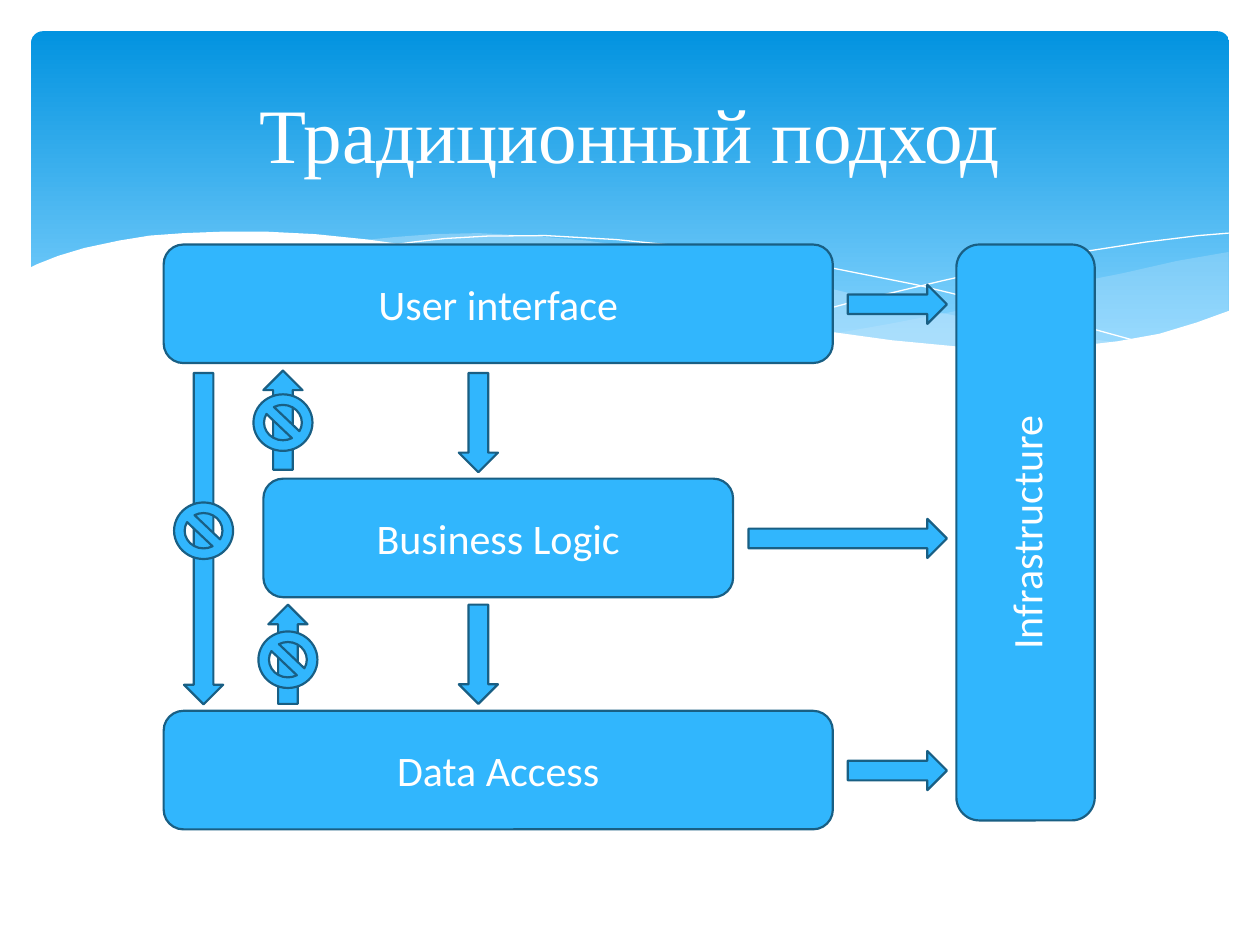
"""Build the slide on the traditional layered architecture."""
from lxml import etree
from pptx import Presentation
from pptx.dml.color import RGBColor
from pptx.enum.shapes import MSO_SHAPE
from pptx.enum.text import MSO_ANCHOR, PP_ALIGN
from pptx.oxml.ns import qn
from pptx.util import Cm, Pt

ROUND = MSO_SHAPE.ROUNDED_RECTANGLE
DOWN, UP, RIGHT = MSO_SHAPE.DOWN_ARROW, MSO_SHAPE.UP_ARROW, MSO_SHAPE.RIGHT_ARROW
FORBIDDEN = MSO_SHAPE.NO_SYMBOL
MIDDLE, CENTER = MSO_ANCHOR.MIDDLE, PP_ALIGN.CENTER
WHITE, BLUE, NAVY, PALE = "FFFFFF", "31B6FD", "195F84", "C6E7FC"
rgb = RGBColor.from_string


def add_block(kind, x, y, w, h):
    sp = s.shapes.add_shape(kind, Cm(x), Cm(y), Cm(w), Cm(h))
    sp.shadow.inherit = False
    sp.fill.solid()
    sp.fill.fore_color.rgb = rgb(BLUE)
    sp.line.color.rgb = rgb(NAVY)
    sp.line.width = Pt(1.25)
    return sp


def write(sp, text, font, size):
    tf = sp.text_frame
    tf.word_wrap = True
    tf.vertical_anchor = MIDDLE
    p = tf.paragraphs[0]
    p.text = text
    p.alignment = CENTER
    r = p.runs[0]
    r.font.name = font
    r.font.size = Pt(size)
    r.font.color.rgb = rgb(WHITE)


prs = Presentation()
prs.slide_width, prs.slide_height = Cm(25.4), Cm(19.05)
s = prs.slides.add_slide(prs.slide_layouts[6])

banner = add_block(ROUND, 0.63, 0.63, 24.15, 6.86)
banner.adjustments[0] = 0.034
banner.line.fill.background()
banner.fill.gradient()
banner.fill.gradient_angle = 270
for stop, color, position in zip(banner.fill.gradient_stops, ("0293E0", "83D3FE"), (0, 0.9)):
    stop.color.rgb = rgb(color)
    stop.position = position

right_wave = [
    (24.77, 5.08), (23.73, 5.26), (22.63, 5.51), (21.87, 5.66), (20.45, 6.02), (19.13, 6.3),
    (17.93, 6.53), (16.79, 6.73), (17.91, 6.88), (18.92, 6.99), (19.84, 7.04), (20.68, 7.06),
    (21.44, 7.02), (22.15, 6.96), (22.78, 6.86), (23.39, 6.73), (24.1, 6.53), (24.77, 6.27)]
middle_wave = [
    (22.68, 6.93), (21.26, 6.73), (19.69, 6.45), (17.93, 6.1), (15.98, 5.64), (14.83, 5.36),
    (13.74, 5.16), (12.75, 4.98), (11.81, 4.85), (10.67, 4.75), (9.65, 4.7), (8.74, 4.72),
    (7.95, 4.78), (7.26, 4.85), (8.2, 4.98), (9.19, 5.16), (10.26, 5.36), (11.4, 5.64),
    (13.46, 6.1), (15.27, 6.48), (16.89, 6.76), (18.34, 6.96), (19.63, 7.04), (20.78, 7.06),
    (21.79, 7.02)]
falling_line = [
    (7.85, 4.95), (8.33, 4.88), (8.97, 4.81), (9.83, 4.76), (11, 4.75), (12.42, 4.83),
    (14.12, 5), (16.15, 5.28), (18.47, 5.74), (21.11, 6.38), (23.04, 6.91)]
rising_line = [
    (15.57, 6.53), (17.07, 6.12), (19, 5.66), (20.47, 5.33), (22, 5.05), (23.1, 4.88),
    (24.16, 4.75), (24.77, 4.7)]
white_wave = [
    (24.82, 6.25), (24.13, 6.5), (23.37, 6.73), (22.53, 6.88), (21.59, 6.99), (20.55, 7.04),
    (19.34, 6.99), (17.98, 6.86), (16.46, 6.65), (14.71, 6.35), (12.78, 5.92), (11.35, 5.59),
    (9.93, 5.26), (8.64, 5), (7.42, 4.83), (6.35, 4.72), (5.36, 4.67), (4.5, 4.67),
    (3.71, 4.7), (3.02, 4.75), (2.41, 4.85), (1.7, 5), (1.17, 5.16), (0.74, 5.33),
    (0.58, 5.41), (0.58, 8.36), (24.82, 8.36)]

for points, color, opacity in [
        (right_wave, PALE, 29), (middle_wave, PALE, 40), (falling_line, None, 100),
        (rising_line, None, 100), (white_wave, WHITE, 100)]:
    start, *rest = [(Cm(x), Cm(y)) for x, y in points]
    builder = s.shapes.build_freeform(*start)
    builder.add_line_segments(rest, close=color is not None)
    sp = builder.convert_to_shape()
    sp.shadow.inherit = False
    if color is None:
        sp.fill.background()
        sp.line.color.rgb = rgb(WHITE)
        sp.line.width = Pt(0)
        continue
    sp.line.fill.background()
    sp.fill.solid()
    sp.fill.fore_color.rgb = rgb(color)
    if opacity < 100:
        clr = sp.element.spPr.find(qn("a:solidFill"))[0]
        etree.SubElement(clr, qn("a:alpha")).set("val", str(opacity * 1000))

title = s.shapes.add_textbox(Cm(1.27), Cm(0.94), Cm(22.86), Cm(3.48))
write(title, "Традиционный подход", "Times New Roman", 44)

for text, x, y, w, h in [
        ("User interface", 3.3, 4.93, 13.49, 2.39),
        ("Infrastructure", 19.28, 4.93, 2.79, 11.61),
        ("Business Logic", 5.31, 9.65, 9.47, 2.39),
        ("Data Access", 3.3, 14.33, 13.49, 2.39)]:
    sp = add_block(ROUND, x, y, w, h)
    write(sp, text, "Calibri", 24)
    if h > w:
        sp.text_frame.word_wrap = True
        sp.element.txBody.bodyPr.set("vert", "vert270")

THICK = 0.79
for kind, x, y, length in [
        (DOWN, 3.71, 7.52, 6.68), (DOWN, 9.25, 7.52, 2), (DOWN, 9.25, 12.19, 2),
        (RIGHT, 17.09, 5.74, 2), (RIGHT, 17.09, 15.14, 2), (RIGHT, 15.09, 10.46, 4),
        (UP, 5.31, 7.47, 2), (UP, 5.41, 12.19, 2)]:
    w, h = (length, THICK) if kind == RIGHT else (THICK, length)
    add_block(kind, x, y, w, h)

for x, y in [(3.51, 10.13), (5.11, 7.95), (5.21, 12.73)]:
    add_block(FORBIDDEN, x, y, 1.19, 1.14)

prs.save("out.pptx")
